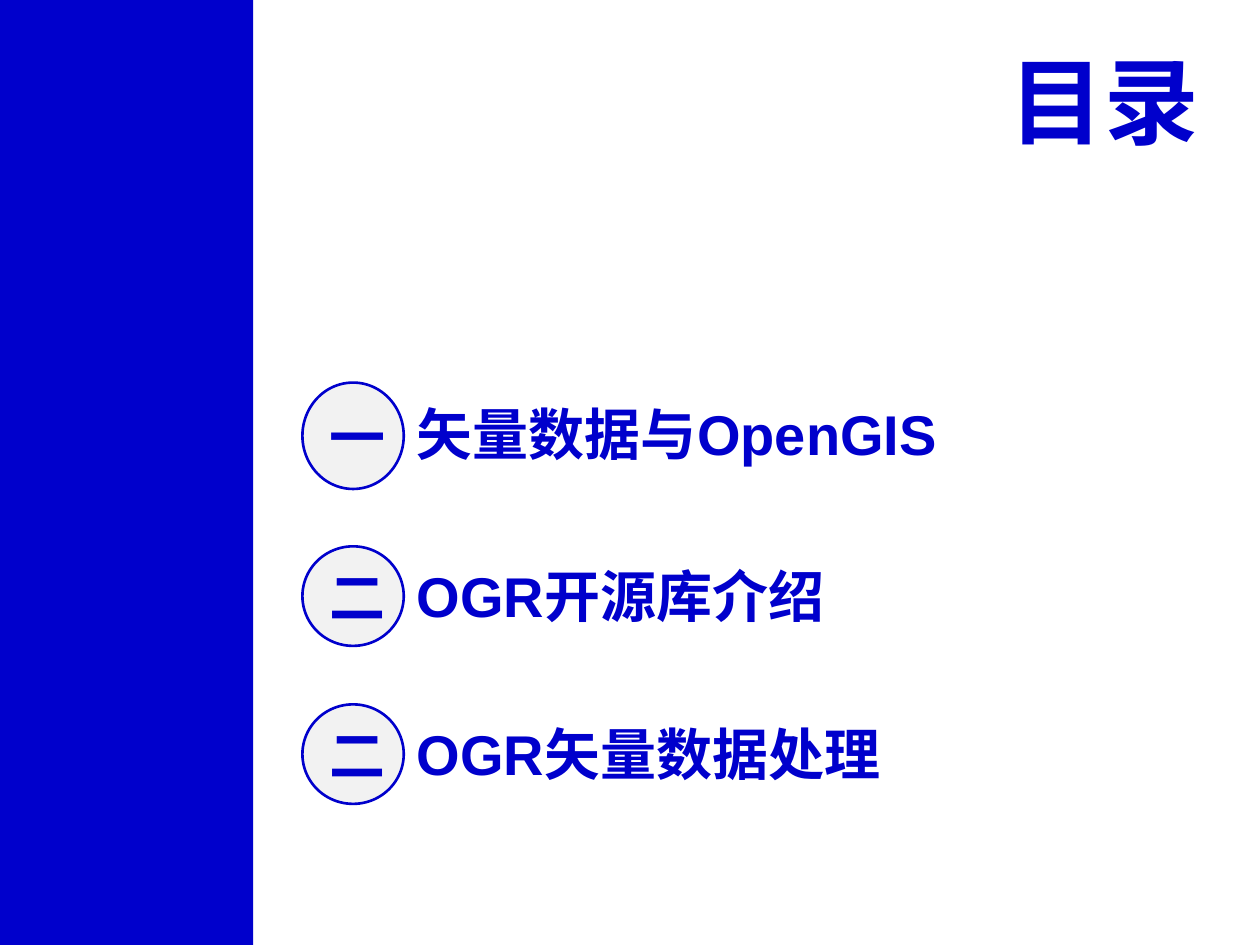
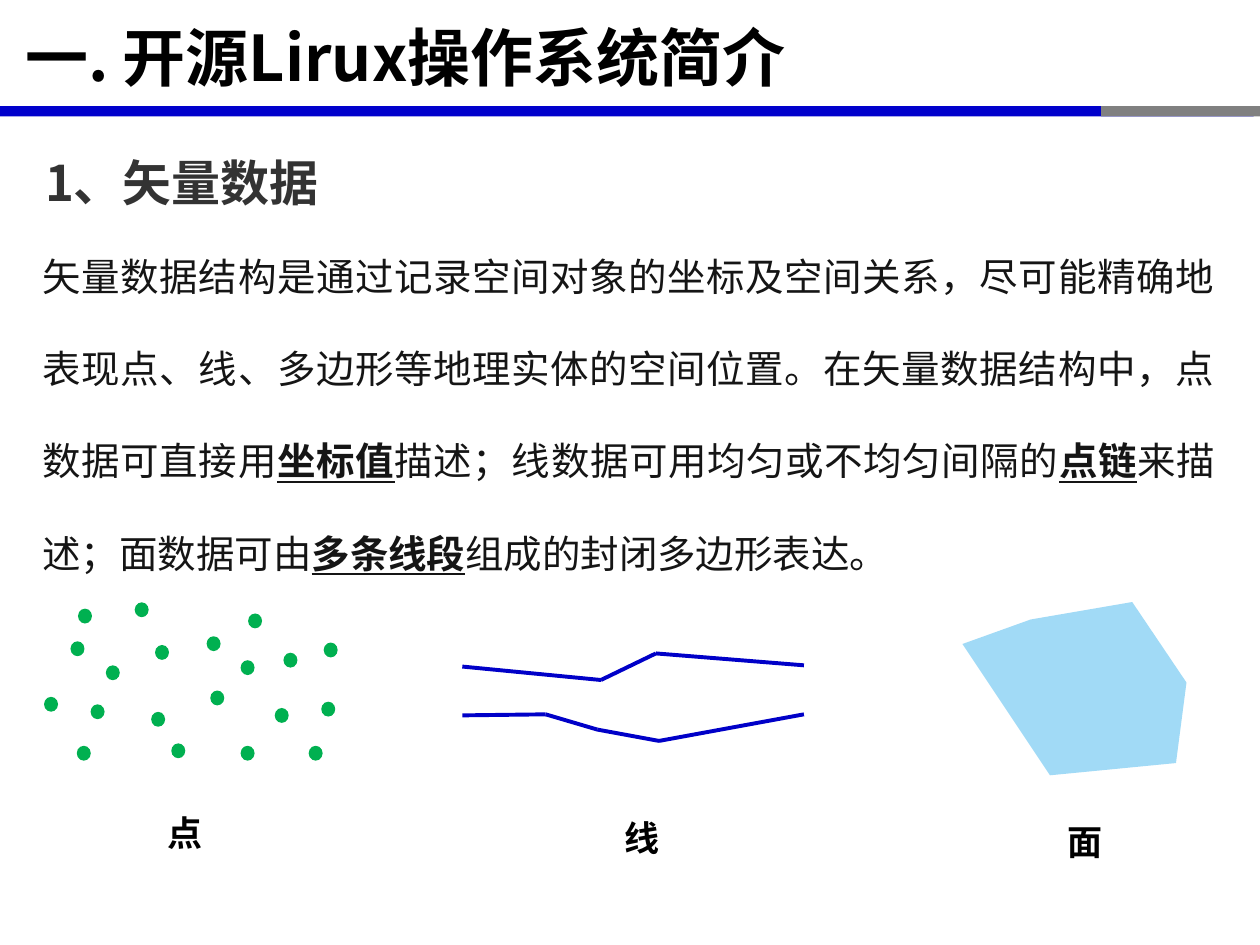
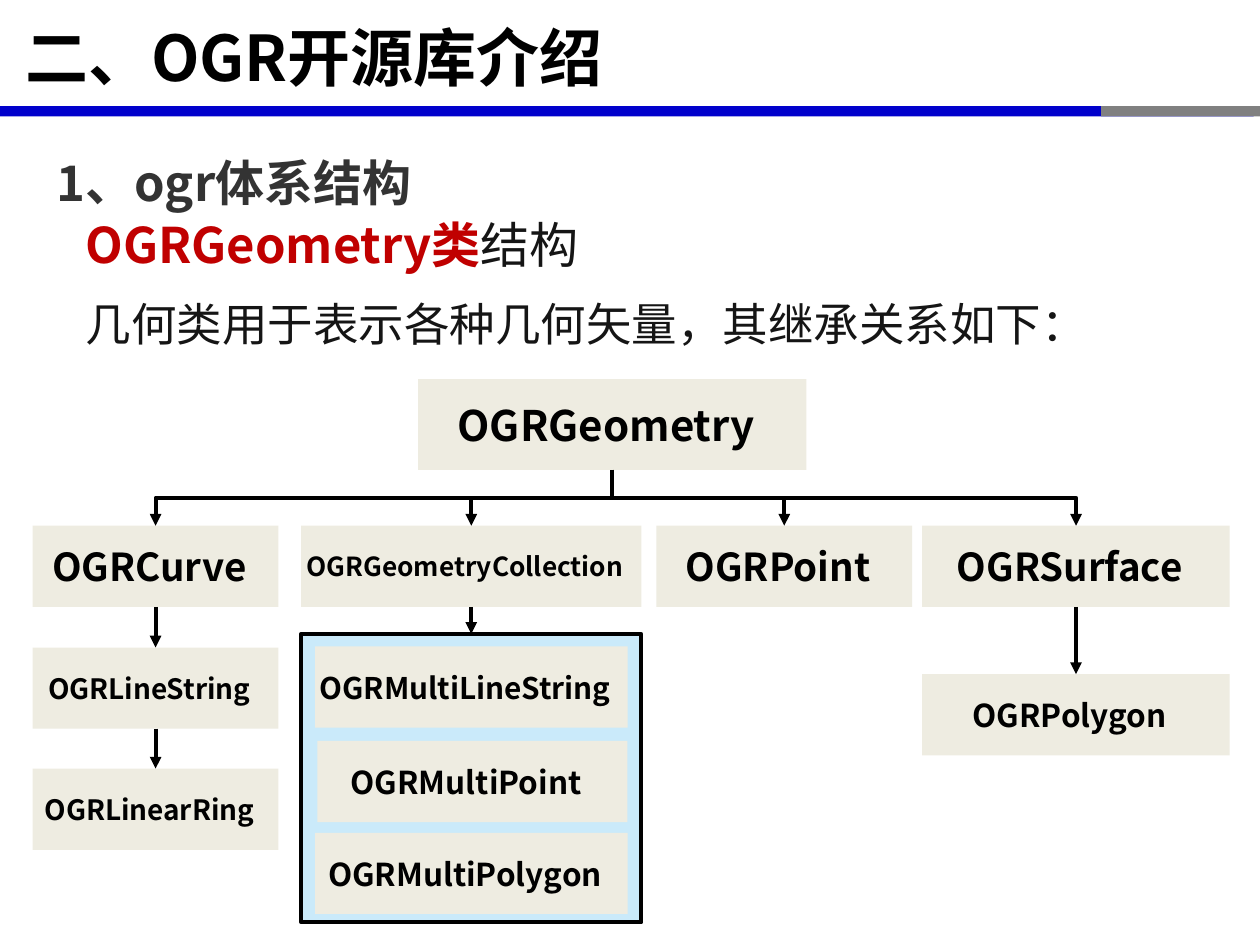
from itertools import pairwise

from lxml.etree import SubElement
from pptx import Presentation
from pptx.dml.color import RGBColor
from pptx.enum.shapes import MSO_CONNECTOR as Connector, MSO_SHAPE as Preset
from pptx.enum.text import MSO_ANCHOR as Anchor, PP_ALIGN as Align
from pptx.oxml.ns import qn
from pptx.util import Pt

CJK_FONT = "Noto Sans CJK SC"
LATIN_FONT = "Arial"
BLUE = "0000CC"
LINE_BLUE = "0000C8"
GRAY = "808080"
BLACK = "000000"
HEADING = "333333"
BODY = "151515"
RED = "C00000"
BADGE = "F2F2F2"
GREEN = "00B050"
SKY = "A1DAF6"
PALE_SKY = "CAEAFA"
BEIGE = "EEECE1"
TOP, BOTTOM = 0, 2


def color(hex_value):
    return RGBColor.from_string(hex_value)


def paint(shape, fill, line=None, width=1.5):
    shape.shadow.inherit = False
    shape.fill.solid()
    shape.fill.fore_color.rgb = color(fill)
    if line:
        shape.line.color.rgb = color(line)
        shape.line.width = Pt(width)
    else:
        shape.line.fill.background()


def add_figure(slide, box, fill, preset=Preset.RECTANGLE, line=None, width=1.5):
    shape = slide.shapes.add_shape(preset, *map(Pt, box))
    paint(shape, fill, line, width)
    return shape


def style_paragraph(paragraph, size, ink, bold=True, align=Align.LEFT, font_name=CJK_FONT):
    paragraph.alignment = align
    font = paragraph.font
    font.name = font_name
    font.size = Pt(size)
    font.color.rgb = color(ink)
    font.bold = bold
    default_run = paragraph._p.pPr.find(qn("a:defRPr"))
    SubElement(default_run, qn("a:ea")).set("typeface", CJK_FONT)


def write(shape, text, size, ink, **style):
    shape.text_frame.word_wrap = True
    paragraph = shape.text_frame.paragraphs[0]
    paragraph.text = text
    style_paragraph(paragraph, size, ink, **style)
    return paragraph


def add_run(paragraph, text, bold=None, underline=None, ink=None):
    run = paragraph.add_run()
    run.text = text
    run.font.bold = bold
    run.font.underline = underline
    if ink:
        run.font.color.rgb = color(ink)


def add_label(slide, box, text, size, ink, anchor=Anchor.TOP, **style):
    label = slide.shapes.add_textbox(*map(Pt, box))
    label.text_frame.vertical_anchor = anchor
    write(label, text, size, ink, **style)
    return label


def add_line(slide, start, end, ink, kind=Connector.STRAIGHT):
    connector = slide.shapes.add_connector(kind, *map(Pt, (*start, *end)))
    connector.line.color.rgb = color(ink)
    connector.line.width = Pt(2.25)
    SubElement(connector._element.spPr, qn("a:effectLst"))
    return connector


def add_arrow(slide, parent, child, kind=Connector.STRAIGHT):
    connector = add_line(slide, (0, 0), (0, 0), BLACK, kind)
    connector.begin_connect(parent, BOTTOM)
    connector.end_connect(child, TOP)
    line = connector._element.spPr.find(qn("a:ln"))
    SubElement(line, qn("a:tailEnd")).set("type", "triangle")
    return connector


def add_branch(slide, parent, child):
    connector = add_arrow(slide, parent, child, Connector.ELBOW)
    start_x, end_x = connector.begin_x, connector.end_x
    start_y, end_y = connector.begin_y, connector.end_y
    drop, spread = end_y - start_y, abs(end_x - start_x)
    connector.left = (start_x + end_x - drop) // 2
    connector.top = (start_y + end_y - spread) // 2
    connector.width, connector.height = drop, spread
    to_right = end_x > start_x
    frame = connector._element.spPr.find(qn("a:xfrm"))
    frame.set("rot", str((270 if to_right else 90) * 60000))
    frame.set("flipH", "1" if to_right else "0")


def add_node(slide, box, text, size):
    node = add_figure(slide, box, BEIGE)
    frame = node.text_frame
    frame.margin_left, frame.margin_right = 0, Pt(7.2)
    frame.margin_top = frame.margin_bottom = Pt(3.6)
    frame.vertical_anchor = Anchor.MIDDLE
    write(node, text, size, BLACK, align=Align.CENTER)
    return node


def add_slide(presentation):
    return presentation.slides.add_slide(presentation.slide_layouts[6])


def add_content_slide(presentation, title, heading, heading_left):
    slide = add_slide(presentation)
    add_figure(slide, (0, 60.7, 716.4, 5.8), BLUE)
    add_figure(slide, (629.3, 60.7, 90.7, 5.8), GRAY)
    label = add_label(slide, (0, 0.7, 710, 62.6), title, 36, BLACK, Anchor.MIDDLE)
    label.text_frame.margin_left = Pt(14.4)
    label = add_label(slide, (heading_left, 67, 670, 51.8), heading, 28, HEADING,
                      align=Align.JUSTIFY)
    label.text_frame.paragraphs[0].line_spacing = 1.5
    return slide


def build_contents(presentation):
    slide = add_slide(presentation)
    add_figure(slide, (0, 0, 144.7, 540), BLUE)
    add_label(slide, (568.1, 20.9, 123.9, 72.7), "目录", 54, BLUE,
              align=Align.RIGHT, font_name=LATIN_FONT)
    entries = [
        ("一", "矢量数据与OpenGIS", 218.6, 60.8, 224.6),
        ("二", "OGR开源库介绍", 312.2, 56.9, 316.8),
        ("二", "OGR矢量数据处理", 402.5, 56.9, 407.5),
    ]
    for number, text, badge_top, badge_height, text_top in entries:
        badge = add_figure(slide, (172.8, badge_top, 57.9, badge_height), BADGE,
                           Preset.OVAL, BLUE)
        badge.text_frame.vertical_anchor = Anchor.MIDDLE
        write(badge, number, 32, BLUE, align=Align.CENTER)
        add_label(slide, (231.1, text_top, 480, 46.1), text, 32, BLUE,
                  Anchor.MIDDLE, font_name=LATIN_FONT)


def build_vector_data(presentation):
    slide = add_content_slide(presentation, "一. 开源Lirux操作系统简介", "1、矢量数据", 18.7)
    body = add_label(slide, (17.3, 114.5, 684, 212.4), "", 22, BODY,
                     bold=False, align=Align.JUSTIFY)
    paragraph = body.text_frame.paragraphs[0]
    paragraph.line_spacing = 2.0
    passages = [
        ("矢量数据结构是通过记录空间对象的坐标及空间关系，尽可能精确地表现点、线、多边形等地理实体的空间位置。"
         "在矢量数据结构中，点数据可直接用", "坐标值"),
        ("描述；线数据可用均匀或不均匀间隔的", "点链"),
        ("来描述；面数据可由", "多条线段"),
    ]
    for plain, term in passages:
        add_run(paragraph, plain)
        add_run(paragraph, term, bold=True, underline=True)
    add_run(paragraph, "组成的封闭多边形表达。")

    dots = [
        (40.3, 366.5), (25.2, 398.2), (88.6, 368.6), (97.9, 424.8), (51.8, 402.5),
        (118.1, 363.6), (60.5, 380.2), (77, 344.2), (120.2, 394.6), (43.9, 426.2),
        (141.8, 350.6), (86.4, 406.8), (162, 373), (176.4, 426.2), (137.5, 377.3),
        (185, 367.2), (157, 404.6), (183.6, 401), (44.6, 347.8), (137.5, 426.2),
    ]
    for left, top in dots:
        add_figure(slide, (left, top, 8, 8.5), GREEN, Preset.OVAL)

    polylines = [
        [(264.2, 380.9), (343.4, 388.6), (374.8, 373.4), (459.4, 380.2)],
        [(264.2, 408.8), (311.8, 408.2), (341.3, 416.9), (376.6, 423.4), (459.4, 408.2)],
    ]
    for polyline in polylines:
        for start, end in pairwise(polyline):
            add_line(slide, start, end, LINE_BLUE)

    outline = [(589, 353.5), (646.6, 344.2), (677.5, 389.5), (672.5, 436.3),
               (600.5, 442.8), (550.1, 367.9)]
    builder = slide.shapes.build_freeform(*outline[0], scale=Pt(1))
    builder.add_line_segments(outline[1:], close=True)
    paint(builder.convert_to_shape(), SKY)

    for text, left, top in [("点", 61.9, 460.1), ("线", 323.3, 463), ("面", 576.7, 465.1)]:
        add_label(slide, (left, top, 87.1, 31.7), text, 20, BLACK, align=Align.CENTER)


def build_class_tree(presentation):
    slide = add_content_slide(presentation, "二、OGR开源库介绍", "1、ogr体系结构", 25.2)
    intro = add_label(slide, (41.8, 118.8, 659.5, 88.6), "", 28, BODY,
                      bold=False, align=Align.JUSTIFY)
    first = intro.text_frame.paragraphs[0]
    add_run(first, "OGRGeometry类", bold=True, ink=RED)
    add_run(first, "结构")
    second = intro.text_frame.add_paragraph()
    second.text = "几何类用于表示各种几何矢量，其继承关系如下："
    second.space_before = Pt(13)
    style_paragraph(second, 26, BODY, bold=False, align=Align.JUSTIFY)

    height = 46.4
    root = add_node(slide, (239, 216.7, 221.8, 51.8), "OGRGeometry", 24)
    members = add_figure(slide, (172.1, 362.2, 194.4, 164.9), PALE_SKY,
                         line=BLACK, width=2.25)
    curve, collection, point, surface = [
        add_node(slide, (left, 300.4, width, height), text, size)
        for text, left, width, size in [
            ("OGRCurve", 18.7, 140.4, 22),
            ("OGRGeometryCollection", 172.1, 194.4, 15),
            ("OGRPoint", 375.1, 146.2, 22),
            ("OGRSurface", 527, 175.7, 22),
        ]
    ]
    line_string, linear_ring, polygon = [
        add_node(slide, (left, top, width, height), text, size)
        for text, left, top, width, size in [
            ("OGRLineString", 18.7, 370, 140.4, 16),
            ("OGRLinearRing", 18.7, 439.2, 140.4, 16),
            ("OGRPolygon", 527, 385.2, 175.7, 18),
        ]
    ]
    for text, left, top, width, size in [
        ("OGRMultiLineString", 180, 369.4, 178.6, 17),
        ("OGRMultiPoint", 181.4, 423.4, 177.1, 18),
        ("OGRMultiPolygon", 180, 475.9, 178.6, 18),
    ]:
        add_node(slide, (left, top, width, height), text, size)

    for parent, child in [(collection, members), (curve, line_string),
                          (line_string, linear_ring), (surface, polygon)]:
        add_arrow(slide, parent, child)
    for child in (curve, surface, collection, point):
        add_branch(slide, root, child)


def main():
    presentation = Presentation()
    presentation.slide_width, presentation.slide_height = Pt(720), Pt(540)
    build_contents(presentation)
    build_vector_data(presentation)
    build_class_tree(presentation)
    presentation.save("out.pptx")


if __name__ == "__main__":
    main()
